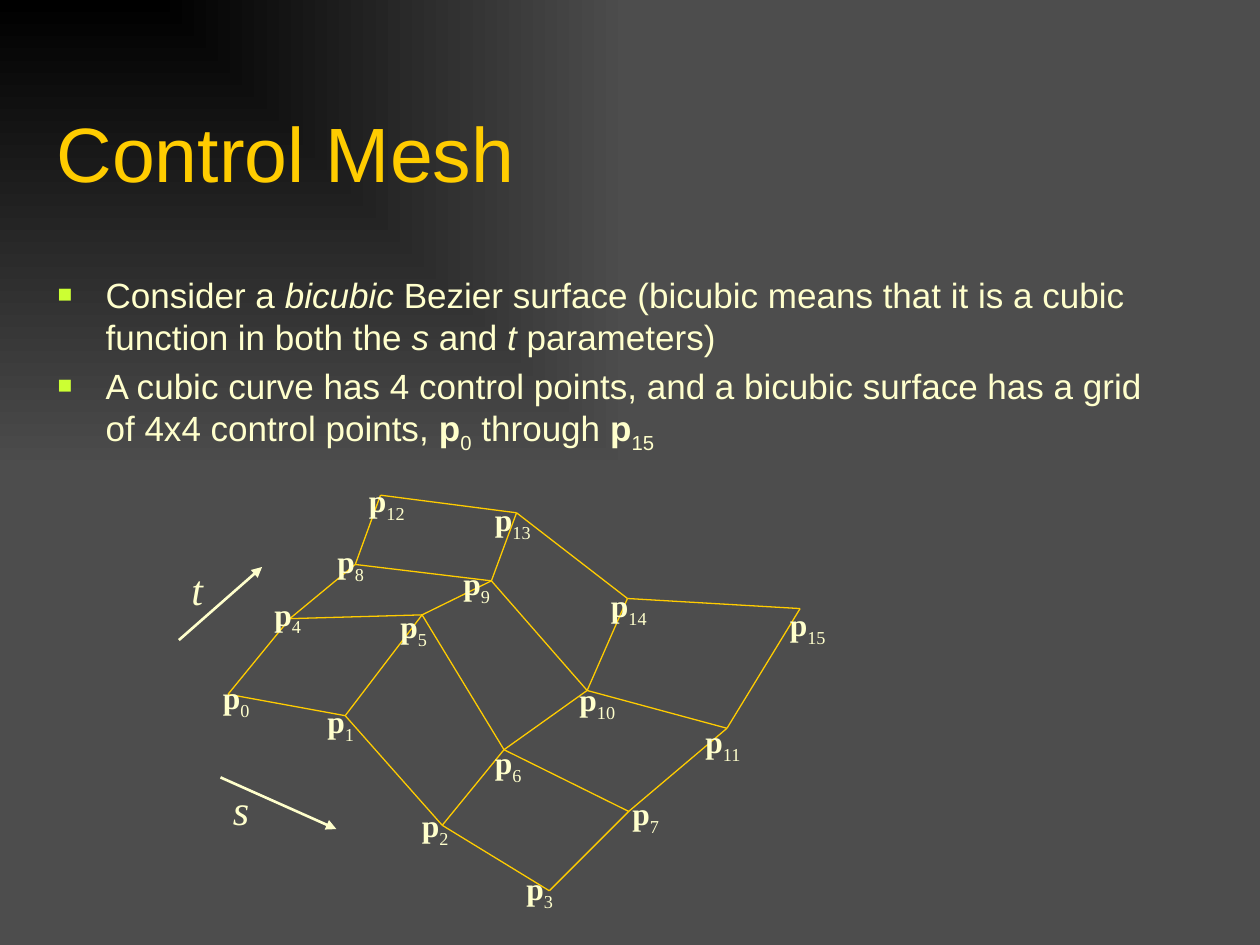
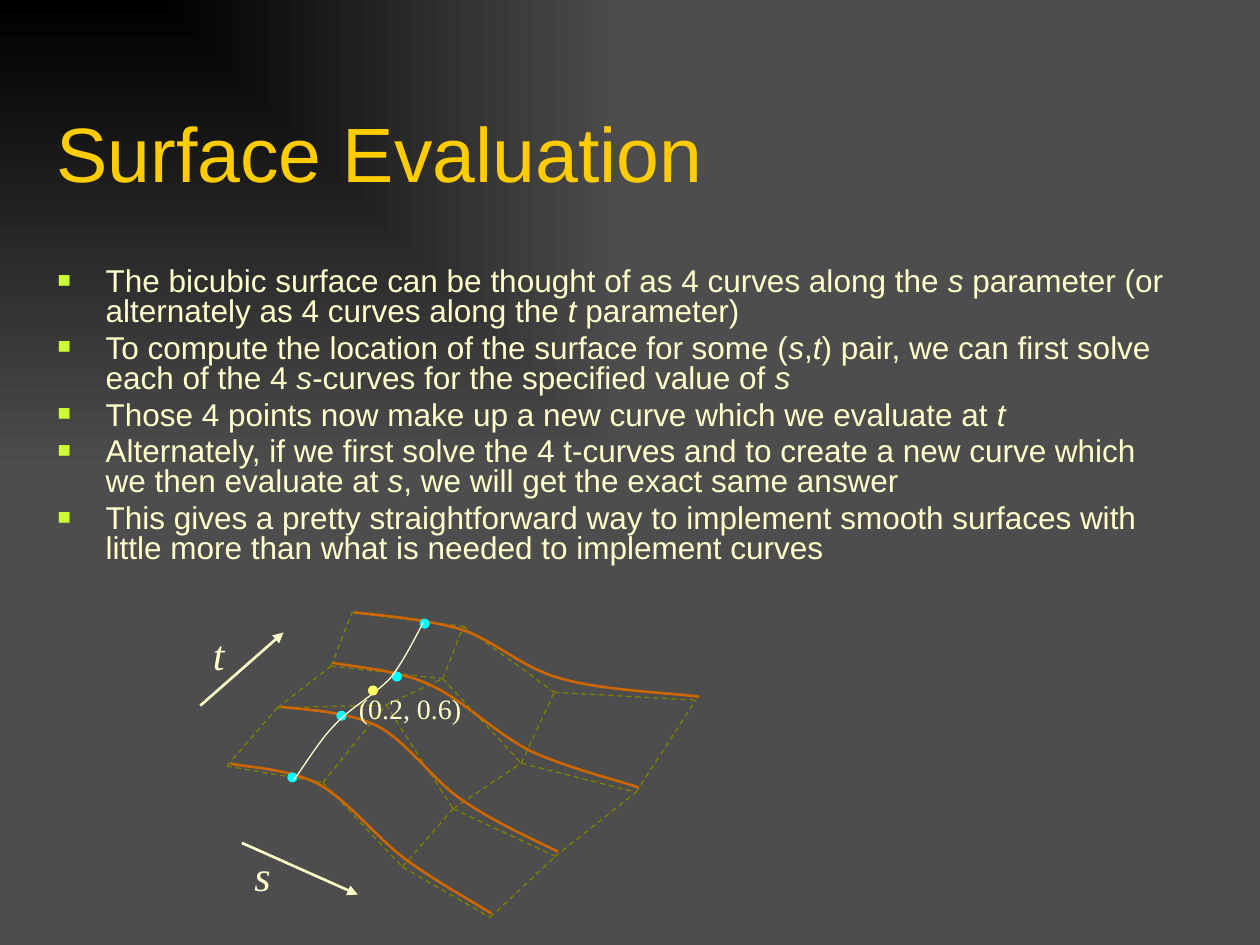
from dataclasses import dataclass

from lxml import etree
from pptx import Presentation
from pptx.dml.color import RGBColor
from pptx.enum.dml import MSO_LINE
from pptx.enum.shapes import MSO_CONNECTOR, MSO_SHAPE
from pptx.enum.text import MSO_ANCHOR
from pptx.oxml.ns import qn
from pptx.util import Inches, Pt

DASH = MSO_LINE.DASH
STRAIGHT = MSO_CONNECTOR.STRAIGHT
ELLIPSE = MSO_SHAPE.OVAL
ANCHOR_TOP = MSO_ANCHOR.TOP
ANCHOR_BOTTOM = MSO_ANCHOR.BOTTOM
BLANK_LAYOUT = 6


@dataclass(frozen=True)
class Theme:
    shade: str = "000000"
    background: str = "4D4D4D"
    accent: str = "FFCC00"
    text: str = "FFFFCC"
    bullet: str = "CCFF33"
    guide: str = "808000"
    curve: str = "CC6600"
    sample: str = "00FFFF"
    result: str = "FFFF66"
    sans: str = "Arial"
    serif: str = "Times New Roman"
    title_size: int = 44
    mesh_body_size: int = 20
    evaluation_body_size: int = 18
    axis_size: int = 24
    point_size: int = 18
    note_size: int = 16
    thin: float = 0.75
    thick: float = 1.5


def color(value):
    return RGBColor.from_string(value)


def italic(text):
    return text, "italic"


def bold(text):
    return text, "bold"


def subscript(text):
    return text, "subscript"


def add_element(parent, tag, **attributes):
    return etree.SubElement(parent, qn(tag), **attributes)


class Deck:
    def __init__(self, theme):
        self.theme = theme
        self.presentation = Presentation()
        self.presentation.slide_width = Inches(10)
        self.presentation.slide_height = Inches(7.5)
        self.slide = None

    def add_slide(self, title):
        layout = self.presentation.slide_layouts[BLANK_LAYOUT]
        self.slide = self.presentation.slides.add_slide(layout)
        self.paint_background()
        self.text((0.35, 0.79, 9.45, 0.83), [title], self.theme.title_size,
                  self.theme.sans, self.theme.accent, ANCHOR_BOTTOM)

    def paint_background(self):
        fill = self.slide.background.fill
        fill.gradient()
        stops = zip(fill.gradient_stops, (0, 1), (self.theme.shade, self.theme.background))
        for stop, position, value in stops:
            stop.position = position
            stop.color.rgb = color(value)
        gradient = self.slide.element.find(".//" + qn("a:gradFill"))
        gradient.remove(gradient.find(qn("a:lin")))
        corner = add_element(gradient, "a:path", path="rect")
        add_element(corner, "a:fillToRect", r="100000", b="100000")

    def text_frame(self, box, anchor=ANCHOR_TOP):
        shape = self.slide.shapes.add_textbox(*map(Inches, box))
        shape.text_frame.word_wrap = True
        shape.text_frame.vertical_anchor = anchor
        return shape.text_frame

    def add_runs(self, paragraph, runs, size, font, value):
        paragraph.font.size = Pt(size)
        paragraph.font.name = font
        paragraph.font.color.rgb = color(value)
        for item in runs:
            text, style = (item, None) if isinstance(item, str) else item
            run = paragraph.add_run()
            run.text = text
            if style == "italic":
                run.font.italic = True
            elif style == "bold":
                run.font.bold = True
            elif style == "subscript":
                run._r.get_or_add_rPr().set("baseline", "-25000")

    def text(self, box, runs, size, font, value, anchor=ANCHOR_TOP):
        frame = self.text_frame(box, anchor)
        self.add_runs(frame.paragraphs[0], runs, size, font, value)

    def label(self, box, runs, size):
        self.text(box, runs, size, self.theme.serif, self.theme.text)

    def bullets(self, top, items, size, line_spacing=1.0):
        frame = self.text_frame((0.36, top, 8.98, 4.5))
        for index, runs in enumerate(items):
            paragraph = frame.add_paragraph() if index else frame.paragraphs[0]
            properties = paragraph._p.get_or_add_pPr()
            properties.set("marL", str(Inches(0.38)))
            properties.set("indent", str(Inches(-0.38)))
            bullet_color = add_element(properties, "a:buClr")
            add_element(bullet_color, "a:srgbClr", val=self.theme.bullet)
            add_element(properties, "a:buSzPct", val="70000")
            add_element(properties, "a:buFont", typeface=self.theme.sans)
            add_element(properties, "a:buChar", char="■")
            paragraph.line_spacing = line_spacing
            paragraph.space_before = Pt(0.2 * size)
            self.add_runs(paragraph, runs, size, self.theme.sans, self.theme.text)

    def line(self, start, end, value, width, dash=None, arrow=False):
        connector = self.slide.shapes.add_connector(STRAIGHT, *map(Inches, (*start, *end)))
        connector.line.color.rgb = color(value)
        connector.line.width = Pt(width)
        if dash:
            connector.line.dash_style = dash
        if arrow:
            add_element(connector.line._get_or_add_ln(), "a:tailEnd", type="triangle")
        add_element(connector.element.spPr, "a:effectLst")

    def mesh(self, grid, value, dash=None):
        columns = list(zip(*grid))
        for chain in [*grid, *columns]:
            for start, end in zip(chain, chain[1:]):
                self.line(start, end, value, self.theme.thin, dash)

    def axes(self, dx=0, dy=0):
        arrows = [
            ("s", (1.75, 6.17), (2.67, 6.58), 6.17),
            ("t", (1.42, 5.08), (2.08, 4.5), 4.42),
        ]
        for name, (x1, y1), (x2, y2), label_top in arrows:
            self.line((x1 + dx, y1 + dy), (x2 + dx, y2 + dy),
                      self.theme.text, self.theme.thick, arrow=True)
            self.label((x1 + dx, label_top + dy, 0.58, 0.5),
                       [italic(name)], self.theme.axis_size)

    def bezier(self, points, value, width):
        (start_x, start_y), *others = [(Inches(x), Inches(y)) for x, y in points]
        builder = self.slide.shapes.build_freeform(start_x, start_y)
        builder.add_line_segments(others, close=False)
        shape = builder.convert_to_shape()
        segments = list(shape.element.iter(qn("a:lnTo")))
        for first in range(0, len(segments), 3):
            cubic = etree.Element(qn("a:cubicBezTo"))
            segments[first].addprevious(cubic)
            for segment in segments[first:first + 3]:
                cubic.append(segment[0])
                segment.getparent().remove(segment)
        shape.fill.background()
        shape.line.color.rgb = color(value)
        shape.line.width = Pt(width)
        shape.shadow.inherit = False

    def dot(self, left, top, value):
        shape = self.slide.shapes.add_shape(ELLIPSE, *map(Inches, (left, top, 0.08, 0.08)))
        shape.fill.solid()
        shape.fill.fore_color.rgb = color(value)
        shape.line.fill.background()
        shape.shadow.inherit = False


CONTROL_GRID = [
    [(1.81, 5.51), (2.74, 5.68), (3.51, 6.55), (4.36, 7.07)],
    [(2.3, 4.91), (3.35, 4.88), (4, 5.95), (4.99, 6.44)],
    [(2.82, 4.48), (3.9, 4.61), (4.66, 5.48), (5.77, 5.78)],
    [(3.02, 3.93), (4.1, 4.07), (4.98, 4.75), (6.35, 4.83)],
]
POINT_LABELS = [
    (1.67, 5.33), (2.5, 5.52), (3.25, 6.35), (4.08, 6.85),
    (2.08, 4.67), (3.08, 4.77), (3.83, 5.85), (4.92, 6.25),
    (2.58, 4.25), (3.58, 4.43), (4.5, 5.35), (5.5, 5.68),
    (2.83, 3.77), (3.83, 3.92), (4.75, 4.6), (6.17, 4.75),
]
S_CURVES = [
    [(1.83, 6.06), (1.95, 6.09), (2.31, 6.1), (2.54, 6.23), (2.77, 6.36),
     (2.99, 6.65), (3.22, 6.82), (3.45, 6.99), (3.76, 7.16), (3.9, 7.25)],
    [(2.23, 5.61), (2.36, 5.63), (2.75, 5.64), (2.99, 5.76), (3.23, 5.88),
     (3.43, 6.19), (3.67, 6.35), (3.91, 6.52), (4.27, 6.68), (4.43, 6.76)],
    [(2.64, 5.26), (2.77, 5.29), (3.14, 5.31), (3.4, 5.43), (3.66, 5.54),
     (3.93, 5.82), (4.21, 5.96), (4.49, 6.09), (4.89, 6.19), (5.07, 6.25)],
    [(2.81, 4.86), (2.96, 4.88), (3.39, 4.91), (3.67, 5), (3.94, 5.09),
     (4.15, 5.31), (4.47, 5.39), (4.78, 5.48), (5.33, 5.5), (5.55, 5.53)],
]
T_CURVE = [(2.33, 6.19), (2.39, 6.12), (2.53, 5.88), (2.66, 5.75), (2.79, 5.61),
           (2.98, 5.51), (3.1, 5.38), (3.21, 5.24), (3.31, 5.03), (3.36, 4.94)]
SAMPLE_DOTS = [(2.67, 5.64), (3.11, 5.33), (3.33, 4.91), (2.28, 6.13)]


def add_control_mesh(deck):
    theme = deck.theme
    deck.add_slide("Control Mesh")
    deck.bullets(2.12, [
        ["Consider a ", italic("bicubic"),
         " Bezier surface (bicubic means that it is a cubic function in both the ",
         italic("s"), " and ", italic("t"), " parameters)"],
        ["A cubic curve has 4 control points, and a bicubic surface has a grid "
         "of 4x4 control points, ",
         bold("p"), subscript("0"), " through ", bold("p"), subscript("15")],
    ], theme.mesh_body_size)
    deck.mesh(CONTROL_GRID, theme.accent)
    for index, (left, top) in enumerate(POINT_LABELS):
        deck.label((left, top, 0.58, 0.4),
                   [bold("p"), subscript(str(index))], theme.point_size)
    deck.axes()


def add_surface_evaluation(deck):
    theme = deck.theme
    deck.add_slide("Surface Evaluation")
    deck.bullets(2.08, [
        ["The bicubic surface can be thought of as 4 curves along the ", italic("s"),
         " parameter (or alternately as 4 curves along the ", italic("t"), " parameter)"],
        ["To compute the location of the surface for some (", italic("s"), ",", italic("t"),
         ") pair, we can first solve each of the 4 ", italic("s"),
         "-curves for the specified value of ", italic("s")],
        ["Those 4 points now make up a new curve which we evaluate at ", italic("t")],
        ["Alternately, if we first solve the 4 t-curves and to create a new curve "
         "which we then evaluate at ", italic("s"), ", we will get the exact same answer"],
        ["This gives a pretty straightforward way to implement smooth surfaces with "
         "little more than what is needed to implement curves"],
    ], theme.evaluation_body_size, 0.8)
    origin_x, origin_y = CONTROL_GRID[0][0]
    small_grid = [[(1.8 + 0.82 * (x - origin_x), 6.08 + 0.77 * (y - origin_y))
                   for x, y in row] for row in CONTROL_GRID]
    deck.mesh(small_grid, theme.guide, DASH)
    deck.axes(0.17, 0.52)
    for curve in S_CURVES:
        deck.bezier(curve, theme.curve, theme.thick)
    for left, top in SAMPLE_DOTS:
        deck.dot(left, top, theme.sample)
    deck.bezier(T_CURVE, theme.text, theme.thin)
    deck.dot(2.92, 5.44, theme.result)
    deck.label((2.75, 5.44, 1.5, 0.37), ["(0.2, 0.6)"], theme.note_size)


def main():
    deck = Deck(Theme())
    add_control_mesh(deck)
    add_surface_evaluation(deck)
    deck.presentation.save("out.pptx")


if __name__ == "__main__":
    main()
